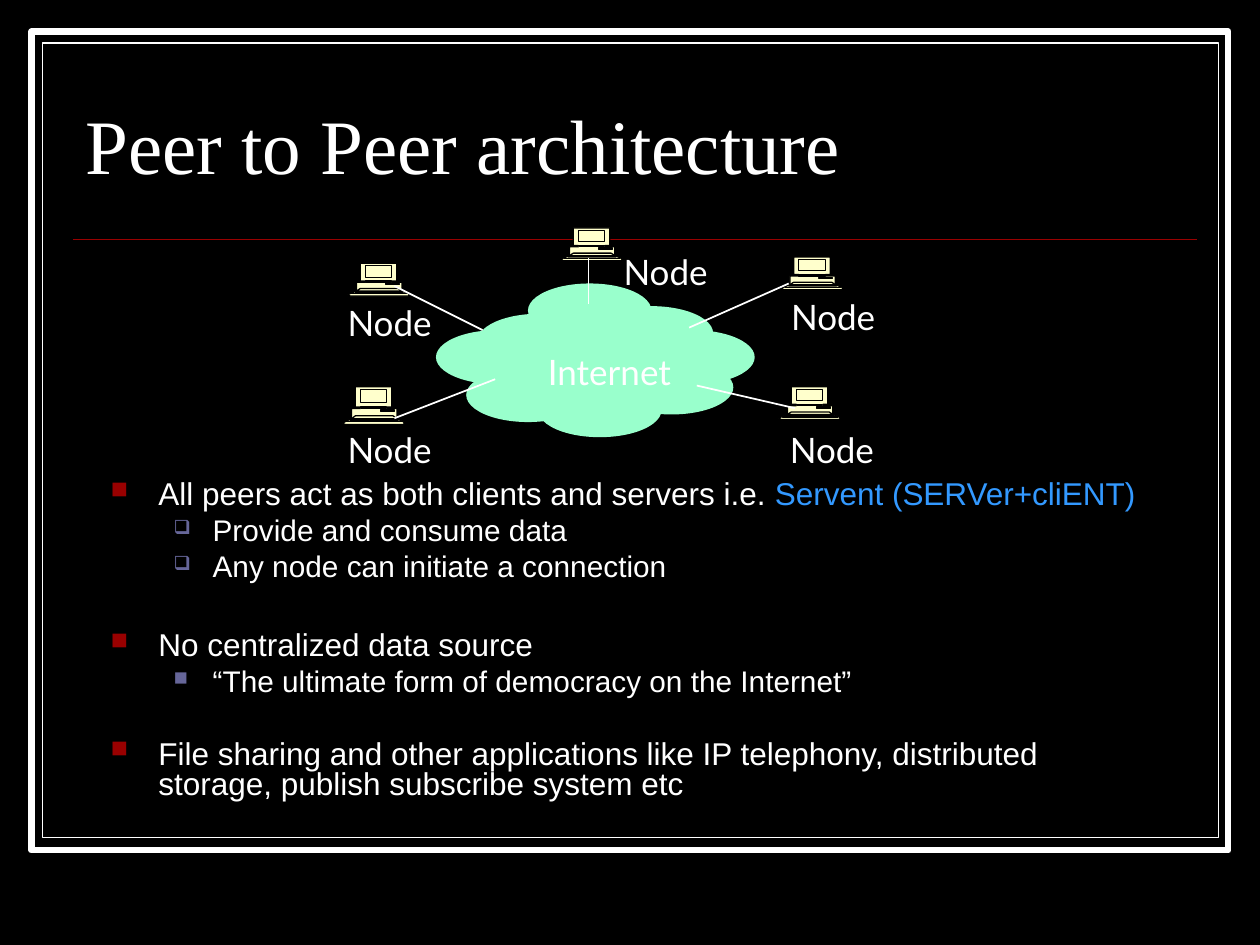
from copy import deepcopy

from pptx import Presentation
from pptx.dml.color import RGBColor
from pptx.enum.shapes import MSO_CONNECTOR, MSO_SHAPE
from pptx.enum.text import MSO_ANCHOR
from pptx.oxml.ns import qn
from pptx.oxml.xmlchemy import OxmlElement
from pptx.util import Inches, Pt

RECTANGLE, OVAL = MSO_SHAPE.RECTANGLE, MSO_SHAPE.OVAL
STRAIGHT = MSO_CONNECTOR.STRAIGHT
TOP, BOTTOM = MSO_ANCHOR.TOP, MSO_ANCHOR.BOTTOM

COLUMNS, ROWS = 100, 75
CELL = Inches(10) // COLUMNS
BLACK, WHITE, RED, BLUE = "000000", "FFFFFF", "990000", "3399FF"
SLATE, MINT, CREAM = "666699", "99FFCC", "FFFFCC"

PUFF = (9.8, 4.3)
PUFFS = [(37.9, 24.9), (41.9, 22.5), (46.8, 24.3), (48.4, 26.2), (50.1, 26.2),
         (48.4, 28.6), (42.7, 30.4), (34.6, 26.2), (41.9, 26.8), (37, 29.2)]

COMPUTER_HEIGHT = 2.6
COMPUTERS = [(61.8, 30.7, 2.6), (27.6, 20.9, 2.6), (27.2, 30.7, 3),
             (44.5, 18.1, 2.6), (62, 20.4, 2.6)]
LINKS = [(46.7, 24.1, 46.7, 20.5), (38.3, 26.2, 31.3, 22.7),
         (31.3, 33.2, 39.3, 30.1), (63.1, 32.4, 55.3, 30.6),
         (54.7, 26, 62.6, 22.5)]
NODE_LABELS = [(48.5, 19.4), (26.6, 23.4), (26.6, 33.5), (61.7, 33.5), (61.8, 23)]


def box_outline(left, top, right, bottom):
    return [(left, top), (right, top), (right, bottom), (left, bottom)]


COMPUTER_OUTLINES = [
    [(48, 24), (43, 22), (43, 15), (35, 15), (35, 14), (39, 14), (39, 0),
     (10, 0), (10, 14), (14, 14), (14, 15), (7, 15), (7, 22), (2, 24),
     (0, 25), (2, 26), (48, 26), (49, 25)],
    [(41, 22), (39, 21), (10, 21), (9, 22)],
    [(44, 23), (42, 22), (7, 22), (6, 23)],
    [(47, 24), (45, 24), (5, 24), (3, 24)],
    [(43, 22), (40, 20), (10, 20), (7, 22)],
    box_outline(30, 16, 41, 17),
    box_outline(14, 2, 35, 11),
    box_outline(14, 14, 35, 15),
]

MAIN = {"size": 18, "margin": 0.38, "hanging": 0.38, "before": 4.5,
        "bullet": "■", "bullet_color": RED, "bullet_share": 75}
SUB = {"size": 17, "margin": 0.81, "hanging": 0.31, "before": 4.2,
       "bullet": "❑", "bullet_color": SLATE, "bullet_share": 65}
POINTS = [
    (MAIN, [("All peers act as both clients and servers i.e. ", WHITE),
            ("Servent (SERVer+cliENT)", BLUE)]),
    (SUB, [("Provide and consume data", WHITE)]),
    (SUB, [("Any node can initiate a connection", WHITE)]),
    ({**MAIN, "before": 28}, [("No centralized data source", WHITE)]),
    ({**SUB, "bullet": "■"},
     [("“The ultimate form of democracy on the Internet”", WHITE)]),
    ({**MAIN, "before": 24.3},
     [("File sharing and other applications like IP telephony, distributed "
       "storage, publish subscribe system etc", WHITE)]),
]


def cells(*counts):
    return [round(count * CELL) for count in counts]


def paint(color_format, color):
    color_format.rgb = RGBColor.from_string(color)


def style_shape(shape, fill, border=None, weight=0.75):
    shape.shadow.inherit = False
    shape.fill.solid()
    paint(shape.fill.fore_color, fill)
    if border:
        paint(shape.line.color, border)
        shape.line.width = Pt(weight)
    else:
        shape.line.fill.background()


def add_preset(slide, preset, area, fill, border=None, weight=0.75):
    shape = slide.shapes.add_shape(preset, *cells(*area))
    style_shape(shape, fill, border, weight)


def add_link(slide, ends, color):
    link = slide.shapes.add_connector(STRAIGHT, *cells(*ends))
    paint(link.line.color, color)
    link.line.width = Pt(1)
    link._element.spPr.append(OxmlElement("a:effectLst"))


def separate_outlines(shape):
    combined = next(shape._element.iter(qn("a:path")))
    outline = None
    for step in list(combined):
        if step.tag == qn("a:moveTo"):
            outline = deepcopy(combined)
            for old_step in list(outline):
                outline.remove(old_step)
            combined.addprevious(outline)
        outline.append(step)
    combined.getparent().remove(combined)


def add_computer(slide, left, top, height):
    unit = Inches(0.01)
    first, *others = COMPUTER_OUTLINES
    builder = slide.shapes.build_freeform(
        *first[0], scale=(unit, unit * height / COMPUTER_HEIGHT))
    builder.add_line_segments(first[1:], close=True)
    for outline in others:
        builder.move_to(*outline[0])
        builder.add_line_segments(outline[1:], close=True)
    computer = builder.convert_to_shape(*cells(left, top))
    style_shape(computer, CREAM, BLACK)
    separate_outlines(computer)


def format_run(run, font_name, size, color):
    run.font.name = font_name
    run.font.size = Pt(size)
    paint(run.font.color, color)


def add_text(slide, area, text, font_name, size, anchor=TOP, wrap=True, spacing=1.0):
    frame = slide.shapes.add_textbox(*cells(*area)).text_frame
    frame.word_wrap = wrap
    frame.vertical_anchor = anchor
    frame.text = text
    frame.paragraphs[0].line_spacing = spacing
    for run in frame.paragraphs[0].runs:
        format_run(run, font_name, size, WHITE)


def set_bullet(paragraph, level):
    properties = paragraph._p.get_or_add_pPr()
    properties.set("marL", str(Inches(level["margin"])))
    properties.set("indent", str(-Inches(level["hanging"])))
    color = OxmlElement("a:buClr")
    swatch = OxmlElement("a:srgbClr")
    swatch.set("val", level["bullet_color"])
    color.append(swatch)
    size = OxmlElement("a:buSzPct")
    size.set("val", str(level["bullet_share"] * 1000))
    symbol = OxmlElement("a:buChar")
    symbol.set("char", level["bullet"])
    properties.extend([color, size, symbol])


def add_points(slide, area):
    frame = slide.shapes.add_textbox(*cells(*area)).text_frame
    frame.word_wrap = True
    for index, (level, phrases) in enumerate(POINTS):
        point = frame.add_paragraph() if index else frame.paragraphs[0]
        point.line_spacing = 0.8
        point.space_before = Pt(level["before"])
        set_bullet(point, level)
        for words, color in phrases:
            run = point.add_run()
            run.text = words
            format_run(run, "Arial", level["size"], color)


def add_network(slide):
    for corner in PUFFS:
        add_preset(slide, OVAL, corner + PUFF, MINT)
    for computer in COMPUTERS:
        add_computer(slide, *computer)
    for ends in LINKS:
        add_link(slide, ends, WHITE)
    for corner in NODE_LABELS:
        add_text(slide, corner + (9.1, 4.4), "Node", "Lato", 20, wrap=False)
    add_text(slide, (42.5, 27.3, 12.7, 4.4), "Internet", "Lato", 20, wrap=False)


def main():
    deck = Presentation()
    deck.slide_width, deck.slide_height = cells(COLUMNS, ROWS)
    slide = deck.slides.add_slide(deck.slide_layouts[6])
    slide.background.fill.solid()
    paint(slide.background.fill.fore_color, BLACK)
    add_preset(slide, RECTANGLE, (2.5, 2.5, 95, 65), BLACK, WHITE, 3.5)
    add_preset(slide, RECTANGLE, (3.4, 3.4, 93.3, 63.1), BLACK, WHITE)
    add_link(slide, (5.8, 19, 95, 19), RED)
    add_text(slide, (5.8, 5.2, 89.2, 10.3), "Peer to Peer architecture",
             "Times New Roman", 44, BOTTOM, spacing=0.8)
    add_points(slide, (7.8, 37.7, 85, 27.5))
    add_network(slide)
    deck.save("out.pptx")


if __name__ == "__main__":
    main()
